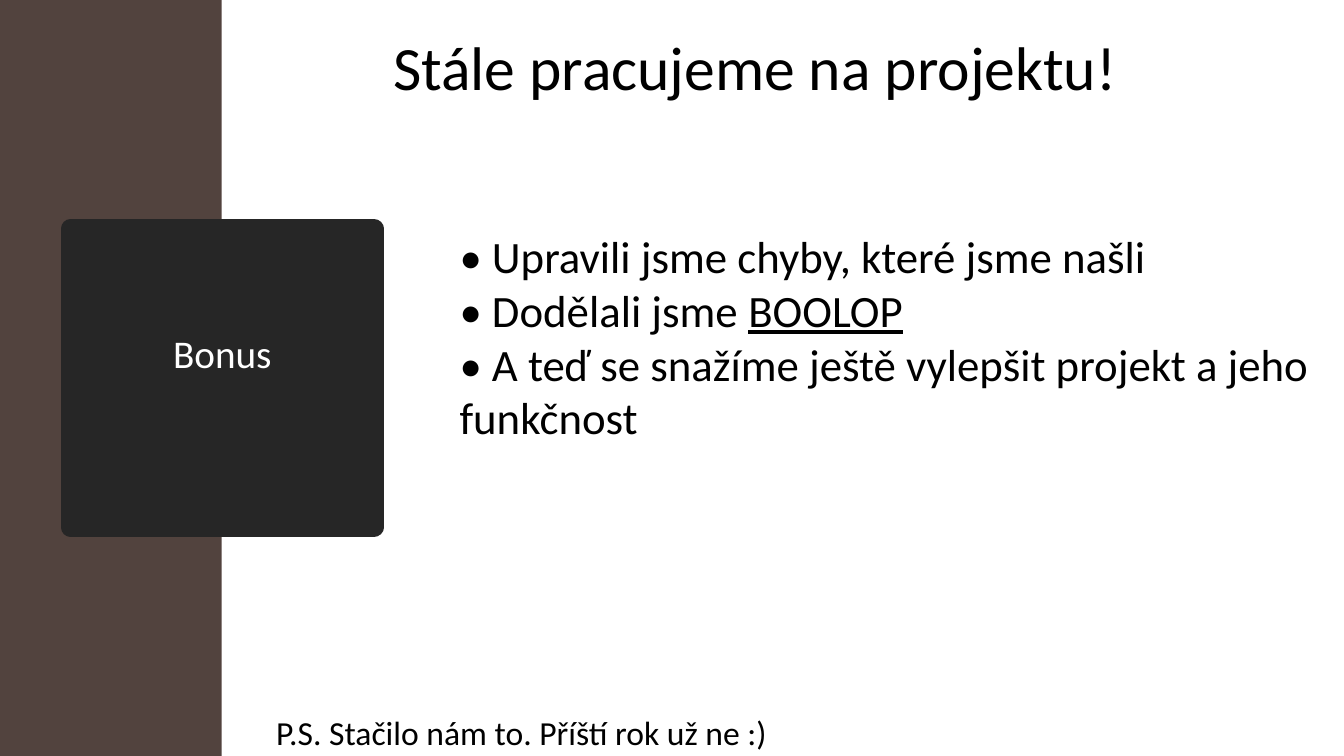
from pptx import Presentation
from pptx.dml.color import RGBColor
from pptx.enum import shapes, text
from pptx.util import Inches, Pt

BROWN = RGBColor(0x52, 0x43, 0x3E)
CHARCOAL = RGBColor(0x26, 0x26, 0x26)
WHITE = RGBColor(0xFF, 0xFF, 0xFF)
BLACK = RGBColor(0, 0, 0)
FONT = "Calibri"


def style_run(r, size, color):
    r.font.name = FONT
    r.font.size = Pt(size)
    r.font.color.rgb = color


def add_sidebar(s, width, height):
    sp = s.shapes.add_shape(shapes.MSO_SHAPE.RECTANGLE, 0, 0, width, height)
    sp.shadow.inherit = False
    sp.fill.solid()
    sp.fill.fore_color.rgb = BROWN
    sp.line.fill.background()


def format_title(s, title):
    sp = s.shapes.title
    sp.left, sp.top = Inches(0.7), Inches(2.27)
    sp.width, sp.height = Inches(3.01), Inches(2.96)
    sp.fill.solid()
    sp.fill.fore_color.rgb = CHARCOAL
    sp.line.color.rgb = CHARCOAL
    sp.line.width = Pt(13.75)
    tf = sp.text_frame
    tf.text = title
    tf.vertical_anchor = text.MSO_ANCHOR.MIDDLE
    tf.margin_top, tf.margin_bottom = 0, Inches(0.5)
    p = tf.paragraphs[0]
    p.alignment = text.PP_ALIGN.CENTER
    style_run(p.runs[0], 28, WHITE)


def add_text(s, left, top, width, height, lines, size):
    sp = s.shapes.add_textbox(Inches(left), Inches(top), Inches(width), Inches(height))
    tf = sp.text_frame
    tf.word_wrap = True
    tf.text = "\n".join(lines)
    for p in tf.paragraphs:
        style_run(p.runs[0], size, BLACK)
    return tf


def main():
    prs = Presentation()
    prs.slide_width, prs.slide_height = Inches(13.33), Inches(7.5)
    s = prs.slides.add_slide(prs.slide_layouts[5])

    add_sidebar(s, Inches(2.2), prs.slide_height)
    format_title(s, "Bonus")
    s.shapes._spTree.append(s.shapes.title._element)

    tf = add_text(s, 4.46, 2.22, 8.74, 2.26, [
        "• Upravili jsme chyby, které jsme našli",
        "• Dodělali jsme ",
        "• A teď se snažíme ještě vylepšit projekt a jeho funkčnost",
    ], 32)
    r = tf.paragraphs[1].add_run()
    r.text = "BOOLOP"
    style_run(r, 32, BLACK)
    r.font.underline = True

    add_text(s, 3.8, 0.24, 7.95, 0.84, ["Stále pracujeme na projektu!"], 44)
    add_text(s, 2.64, 7.01, 7.48, 0.5, ["P.S. Stačilo nám to. Příští rok už ne :)"], 24)

    prs.save("out.pptx")


if __name__ == "__main__":
    main()
